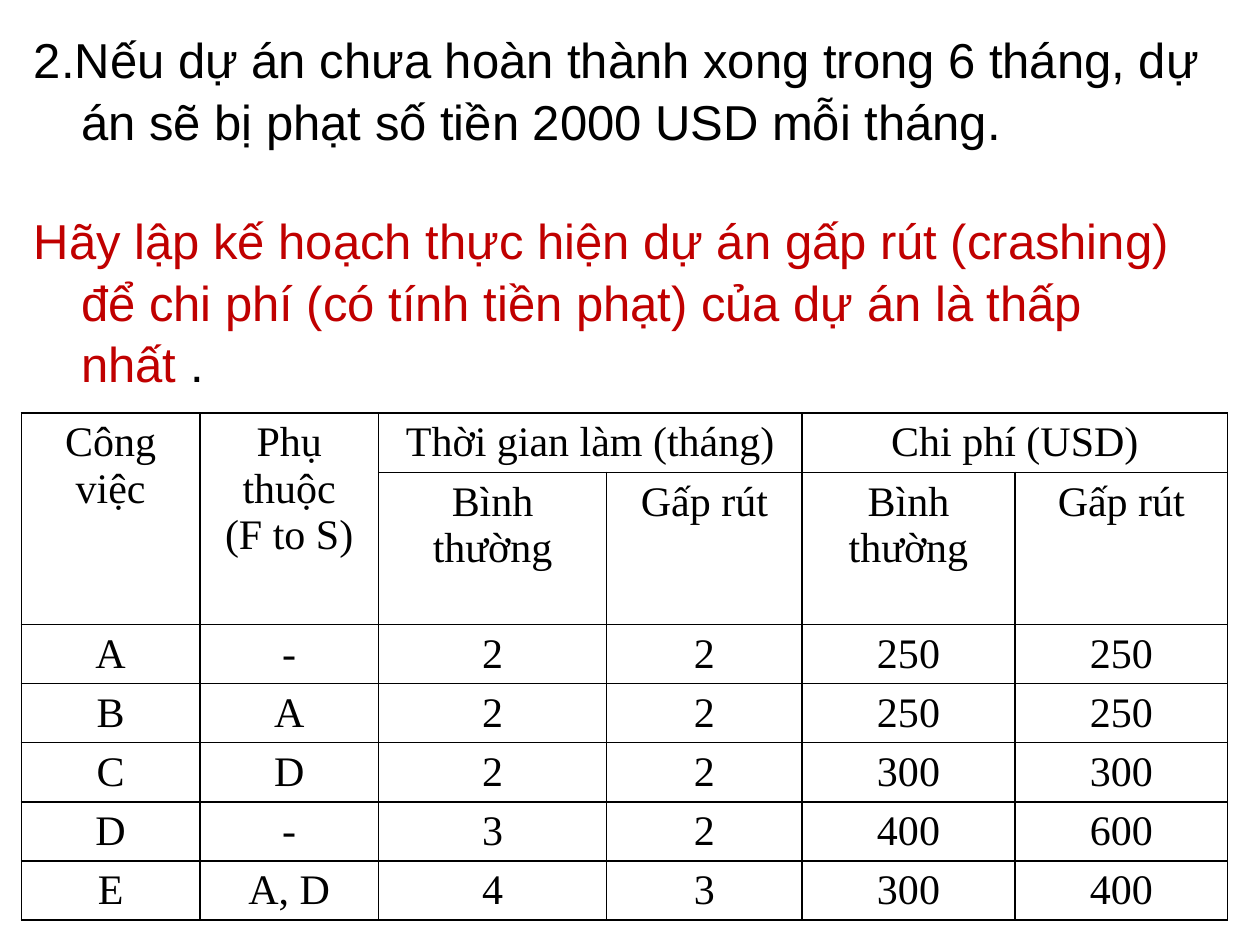
import pptx
import pptx.dml.color
import pptx.enum.text
import pptx.oxml
import pptx.oxml.ns
import pptx.util

Cm = pptx.util.Cm
Pt = pptx.util.Pt
BLACK = pptx.dml.color.RGBColor(0x00, 0x00, 0x00)
RED = pptx.dml.color.RGBColor(0xC0, 0x00, 0x00)
CENTER = pptx.enum.text.PP_ALIGN.CENTER

LEFT, WIDTH = Cm(0.43), Cm(24.33)
BODY_FONT = {"name": "Arial", "size": Pt(28)}
TABLE_FONT = {"name": "Times New Roman", "size": Pt(24)}
HANGING = {"marL": "342900", "indent": "-342900"}

PENALTY = ("2.Nếu dự án chưa hoàn thành xong trong 6 tháng, "
           "dự án sẽ bị phạt số tiền 2000 USD mỗi tháng.")
TASK = ("Hãy lập kế hoạch thực hiện dự án gấp rút (crashing) "
        "để chi phí (có tính tiền phạt) của dự án là thấp nhất")

COLUMN_WIDTHS = [3.6, 3.6, 4.6, 3.94, 4.29, 4.29]
ROW_HEIGHTS = [1.18, 3.07] + [1.18] * 5
MERGES = [((0, 0), (1, 0)), ((0, 1), (1, 1)), ((0, 2), (0, 3)), ((0, 4), (0, 5))]
ACTIVITIES = [
    ["Công việc", "Phụ thuộc\n(F to S)", "Thời gian làm (tháng)", "", "Chi phí (USD)", ""],
    ["", "", "Bình thường", "Gấp rút", "Bình thường", "Gấp rút"],
    ["A", "-", "2", "2", "250", "250"],
    ["B", "A", "2", "2", "250", "250"],
    ["C", "D", "2", "2", "300", "300"],
    ["D", "-", "3", "2", "400", "600"],
    ["E", "A, D", "4", "3", "300", "400"],
]


def apply_format(target, values):
    for name, value in values.items():
        setattr(target, name, value)


def add_statement(frame, paragraph, parts, space_before):
    """Fill a hanging paragraph without a bullet from (text, colour) parts."""
    apply_format(paragraph, {"space_before": space_before, "space_after": Pt(0),
                             "line_spacing": 1.04})
    properties = paragraph._p.get_or_add_pPr()
    for name, value in HANGING.items():
        properties.set(name, value)
    properties.append(pptx.oxml.parse_xml(
        f'<a:buNone {pptx.oxml.ns.nsdecls("a")}/>'))
    for text, colour in parts:
        run = paragraph.add_run()
        run.text = text
        apply_format(run.font, BODY_FONT)
        run.font.color.rgb = colour


def add_borders(cell):
    properties = cell._tc.get_or_add_tcPr()
    for position, side in enumerate(("lnL", "lnR", "lnT", "lnB")):
        properties.insert(position, pptx.oxml.parse_xml(
            f'<a:{side} {pptx.oxml.ns.nsdecls("a")} w="12700"><a:solidFill>'
            f'<a:srgbClr val="{BLACK}"/></a:solidFill></a:{side}>'))


def fill_cell(cell, text):
    cell.fill.background()
    add_borders(cell)
    cell.text = text
    for paragraph in cell.text_frame.paragraphs:
        paragraph.alignment = CENTER
        for font in [paragraph.font] + [run.font for run in paragraph.runs]:
            apply_format(font, TABLE_FONT)
            font.bold = False
            font.color.rgb = BLACK


def add_activity_table(slide):
    table = slide.shapes.add_table(
        len(ROW_HEIGHTS), len(COLUMN_WIDTHS), LEFT, Cm(8.33),
        WIDTH, Cm(sum(ROW_HEIGHTS))).table
    apply_format(table, {"first_row": False, "horz_banding": False})
    for column, width in zip(table.columns, COLUMN_WIDTHS):
        column.width = Cm(width)
    for row, height in zip(table.rows, ROW_HEIGHTS):
        row.height = Cm(height)
    for r, texts in enumerate(ACTIVITIES):
        for c, text in enumerate(texts):
            fill_cell(table.cell(r, c), text)
    for first, last in MERGES:
        table.cell(*first).merge(table.cell(*last))


def add_problem(slide):
    body = slide.placeholders[1]
    apply_format(body, {"left": LEFT, "top": Cm(0.43),
                        "width": WIDTH, "height": Cm(6.1)})
    frame = body.text_frame
    apply_format(frame, {"word_wrap": True,
                         "auto_size": pptx.enum.text.MSO_AUTO_SIZE.NONE,
                         "vertical_anchor": pptx.enum.text.MSO_ANCHOR.TOP})
    add_statement(frame, frame.paragraphs[0], [(PENALTY, BLACK)], Pt(0))
    # One line of space separates the condition from the task
    add_statement(frame, frame.add_paragraph(), [(TASK, RED), (" .", BLACK)], Pt(33.5))


def main():
    presentation = pptx.Presentation()
    apply_format(presentation, {"slide_width": Cm(25.4), "slide_height": Cm(19.05)})
    slide = presentation.slides.add_slide(presentation.slide_layouts[1])

    # The slide has no title
    title = slide.shapes.title._element
    title.getparent().remove(title)

    # Problem statement above the activity data
    add_problem(slide)
    add_activity_table(slide)
    presentation.save("out.pptx")


if __name__ == "__main__":
    main()
